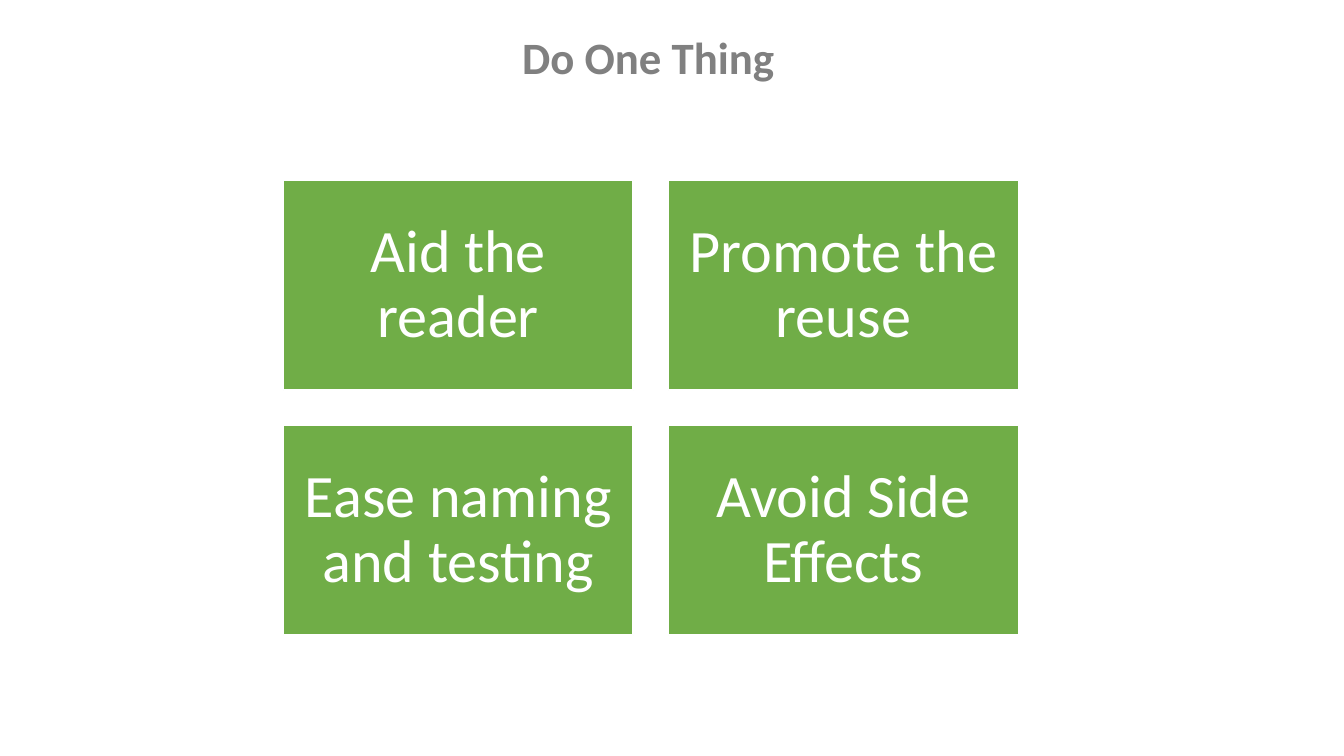
"""Build the "Do One Thing" slide: a title over a two-by-two grid of benefits."""
from pptx import Presentation
from pptx.dml.color import RGBColor
from pptx.enum.shapes import MSO_SHAPE
from pptx.enum.text import MSO_ANCHOR, PP_ALIGN
from pptx.util import Inches, Pt

RECTANGLE = MSO_SHAPE.RECTANGLE
MIDDLE = MSO_ANCHOR.MIDDLE
CENTER = PP_ALIGN.CENTER

TITLE = "Do One Thing"
BENEFITS = [
    "Aid the reader",
    "Promote the reuse",
    "Ease naming and testing",
    "Avoid Side Effects",
]

FONT = "Calibri"
GREEN, WHITE, GRAY = "70AD47", "FFFFFF", "808080"
COLUMNS = 2
GRID_LEFT, GRID_TOP = 2.81, 1.79
CARD_WIDTH, CARD_HEIGHT = 3.47, 2.08
GAP = 0.35
CARD_INSET = 0.18


def color(value):
    return RGBColor.from_string(value)


def write(shape, text, size, text_color, inset_x, inset_y, bold=False):
    frame = shape.text_frame
    frame.text = text
    frame.word_wrap = True
    frame.vertical_anchor = MIDDLE
    frame.margin_left = frame.margin_right = Inches(inset_x)
    frame.margin_top = frame.margin_bottom = Inches(inset_y)
    paragraph = frame.paragraphs[0]
    paragraph.alignment = CENTER
    font = paragraph.runs[0].font
    font.name = FONT
    font.size = Pt(size)
    font.bold = bold
    font.color.rgb = color(text_color)
    return paragraph


def add_title(slide):
    title = slide.shapes.title
    title.left, title.top = Inches(3.21), Inches(0.24)
    title.width, title.height = Inches(6.44), Inches(0.64)
    paragraph = write(title, TITLE, 32, GRAY, 0.1, 0.05, bold=True)
    paragraph.line_spacing = 1.0


def add_card(slide, index, text):
    row, column = divmod(index, COLUMNS)
    left = GRID_LEFT + column * (CARD_WIDTH + GAP)
    top = GRID_TOP + row * (CARD_HEIGHT + GAP)
    card = slide.shapes.add_shape(
        RECTANGLE, Inches(left), Inches(top), Inches(CARD_WIDTH), Inches(CARD_HEIGHT)
    )
    card.shadow.inherit = False
    card.fill.solid()
    card.fill.fore_color.rgb = color(GREEN)
    card.line.color.rgb = color(WHITE)
    card.line.width = Pt(1)
    paragraph = write(card, text, 43, WHITE, CARD_INSET, CARD_INSET)
    paragraph.line_spacing = 0.9


def main():
    presentation = Presentation()
    presentation.slide_width = Inches(13.33)
    presentation.slide_height = Inches(7.5)
    slide = presentation.slides.add_slide(presentation.slide_layouts[5])
    add_title(slide)
    for index, text in enumerate(BENEFITS):
        add_card(slide, index, text)
    presentation.save("out.pptx")


if __name__ == "__main__":
    main()
